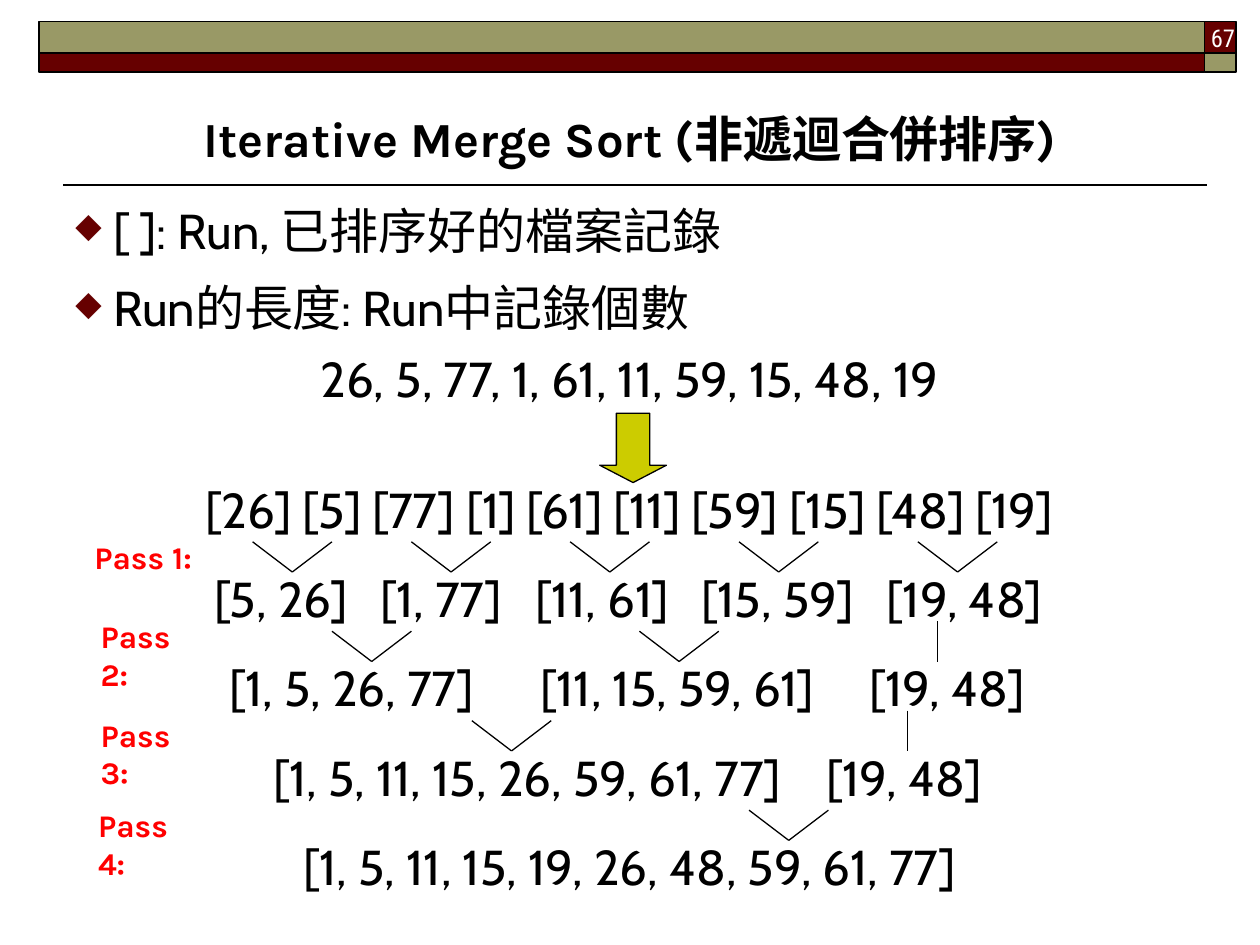
from dataclasses import dataclass

from lxml import etree
from pptx import Presentation
from pptx import util as u
from pptx.dml.color import RGBColor
from pptx.enum import shapes, text
from pptx.oxml.ns import qn

COLS, ROWS = 100, 75  # the slide is a grid of 0.1 inch cells
CELL = u.Inches(0.1)


@dataclass(frozen=True)
class Theme:
    maroon: str = "660000"
    olive: str = "999966"
    lime: str = "CCCC00"
    red: str = "FF0000"
    black: str = "000000"
    white: str = "FFFFFF"
    head: str = "Karla"
    body: str = "Cabin"
    digit: str = "Roboto Condensed"
    large: int = 28
    label: int = 18
    small: int = 14


@dataclass(frozen=True)
class Area:
    x: float
    y: float
    w: float
    h: float


@dataclass(frozen=True)
class Face:
    font: str
    size: int
    color: str
    bold: bool = False


@dataclass(frozen=True)
class Row:
    """A body line; stops are the columns where its runs of numbers start."""
    items: tuple[str, ...]
    gap: float
    stops: tuple[float, ...] = ()
    bullet: bool = False


@dataclass(frozen=True)
class Pass:
    """One merge pass: columns of the joins, of the carried run, and its label."""
    joins: tuple[float, ...]
    carry: tuple[float, ...]
    label: Area
    wrap: bool = False


T = Theme()
TITLE = Face(T.head, T.large, T.black, True)
BODY = Face(T.body, T.large, T.black)
LABEL = Face(T.head, T.label, T.red, True)
PAGE = Face(T.digit, T.small, T.white)

BANDS = (
    (Area(95.6, 1.7, 2.5, 2.5), T.maroon),
    (Area(3.1, 1.7, 92.5, 2.5), T.olive),
    (Area(3.1, 4.2, 92.5, 1.5), T.maroon),
    (Area(95.6, 4.2, 2.5, 1.5), T.olive),
)
FRAME = Area(5, 15.4, 89.9, 55.9)
LINES = (
    Row(("[ ]: Run, 已排序好的檔案記錄",), 0, bullet=True),
    Row(("Run的長度: Run中記錄個數",), 10.5, bullet=True),
    Row(("26, 5, 77, 1, 61, 11, 59, 15, 48, 19",), 7),
    Row(("[26] [5] [77] [1] [61] [11] [59] [15] [48] [19]",), 41),
    Row(("[5, 26]", "[1, 77]", "[11, 61]", "[15, 59]", "[19, 48]"), 17.5,
        (17, 30.2, 42.5, 55.7, 70.4)),
    Row(("[1, 5, 26, 77]", "[11, 15, 59, 61]", "[19, 48]"), 17.5,
        (18.2, 42.9, 69)),
    Row(("[1, 5, 11, 15, 26, 59, 61, 77]", "[19, 48]"), 17.5, (21.7, 65.6)),
    Row(("[1, 5, 11, 15, 19, 26, 48, 59, 61, 77]",), 17.5),
)
PASSES = (
    Pass((23.2, 35.8, 48.4, 61.8, 76), (), Area(6.5, 42.2, 10.3, 4)),
    Pass((29.5, 53.9), (74.4,), Area(7, 48.5, 10.3, 4)),
    Pass((40.6,), (72,), Area(7, 56.3, 10, 4), wrap=True),
    Pass((62.6,), (), Area(6.8, 63.5, 10.3, 4)),
)
TOP, PITCH = 43, 7.1  # first join row and distance between passes
HALF, DEPTH, LEAD = 3.15, 2.4, 0.8  # join half width, height, extra stem


def cells(*vals: float) -> list[int]:
    return [u.Emu(round(v * CELL)) for v in vals]


def box(area: Area) -> list[int]:
    return cells(area.x, area.y, area.w, area.h)


def block(slide, area: Area, fill: str, width: float = 1,
          kind=shapes.MSO_SHAPE.RECTANGLE):
    shape = slide.shapes.add_shape(kind, *box(area))
    shape.shadow.inherit = False
    shape.fill.solid()
    shape.fill.fore_color.rgb = RGBColor.from_string(fill)
    shape.line.color.rgb = RGBColor.from_string(T.black)
    shape.line.width = u.Pt(width)
    return shape


def line(slide, x1: float, y1: float, x2: float, y2: float,
         width: float = 0.75) -> None:
    link = slide.shapes.add_connector(
        shapes.MSO_CONNECTOR.STRAIGHT, *cells(x1, y1, x2, y2))
    link.line.color.rgb = RGBColor.from_string(T.black)
    link.line.width = u.Pt(width)
    etree.SubElement(link._element.spPr, qn("a:effectLst"))


def write(para, words: str, face: Face) -> None:
    run = para.add_run()
    run.text = words
    font = run.font
    font.name, font.size, font.bold = face.font, u.Pt(face.size), face.bold
    font.color.rgb = RGBColor.from_string(face.color)


def frame(slide, area: Area, wrap: bool = True):
    body = slide.shapes.add_textbox(*box(area)).text_frame
    body.word_wrap = wrap
    return body


def mark(para) -> None:
    """Give the paragraph a hanging diamond bullet."""
    props = para._p.get_or_add_pPr()
    indent = cells(3)[0]
    props.set("marL", str(indent))
    props.set("indent", str(-indent))
    tint = etree.SubElement(props, qn("a:buClr"))
    etree.SubElement(tint, qn("a:srgbClr"), val=T.maroon)
    etree.SubElement(props, qn("a:buSzPct"), val="70000")
    etree.SubElement(props, qn("a:buChar"), char="◆")


def tabs(para, stops: tuple[float, ...]) -> None:
    """Set left tabs at slide columns, measured from the text's left edge."""
    tab_list = etree.SubElement(para._p.get_or_add_pPr(), qn("a:tabLst"))
    for pos in cells(*(stop - FRAME.x - 1 for stop in stops)):
        etree.SubElement(tab_list, qn("a:tab"), pos=str(pos), algn="l")


def listing(slide) -> None:
    body = frame(slide, FRAME)
    for i, row in enumerate(LINES):
        para = body.add_paragraph() if i else body.paragraphs[0]
        if i:
            para.space_before = u.Pt(row.gap)
        if row.bullet:
            mark(para)
        elif row.stops:
            tabs(para, row.stops)
        else:
            para.alignment = text.PP_ALIGN.CENTER
        for item in row.items:
            write(para, "\t" + item if row.stops else item, BODY)


def merge(slide, step: Pass, num: int) -> None:
    top = TOP + PITCH * (num - 1)
    for x in step.joins:
        for side in (-HALF, HALF):
            line(slide, x + side, top, x, top + DEPTH)
    for x in step.carry:
        line(slide, x, top - LEAD, x, top + DEPTH)
    body = frame(slide, step.label, step.wrap)
    write(body.paragraphs[0], f"Pass {num}:", LABEL)


def main() -> None:
    deck = Presentation()
    deck.slide_width, deck.slide_height = cells(COLS, ROWS)
    slide = deck.slides.add_slide(deck.slide_layouts[6])
    for area, fill in BANDS:
        block(slide, area, fill)
    line(slide, 5, 14.7, 95.8, 14.7, 1)
    listing(slide)

    title = frame(slide, Area(5, 5.8, 90, 8))
    title.vertical_anchor = text.MSO_ANCHOR.BOTTOM
    title.paragraphs[0].alignment = text.PP_ALIGN.CENTER
    write(title.paragraphs[0], "Iterative Merge Sort (非遞迴合併排序)", TITLE)

    arrow = block(slide, Area(47.6, 32.8, 5.3, 5.5), T.lime, 0.75,
                  shapes.MSO_SHAPE.DOWN_ARROW)
    arrow.adjustments[0], arrow.adjustments[1] = 0.5, 0.26
    for num, step in enumerate(PASSES, 1):
        merge(slide, step, num)

    page = frame(slide, Area(78.2, 1.3, 20.8, 3.2)).paragraphs[0]
    page.alignment = text.PP_ALIGN.RIGHT
    write(page, "67", PAGE)
    deck.save("out.pptx")


if __name__ == "__main__":
    main()
